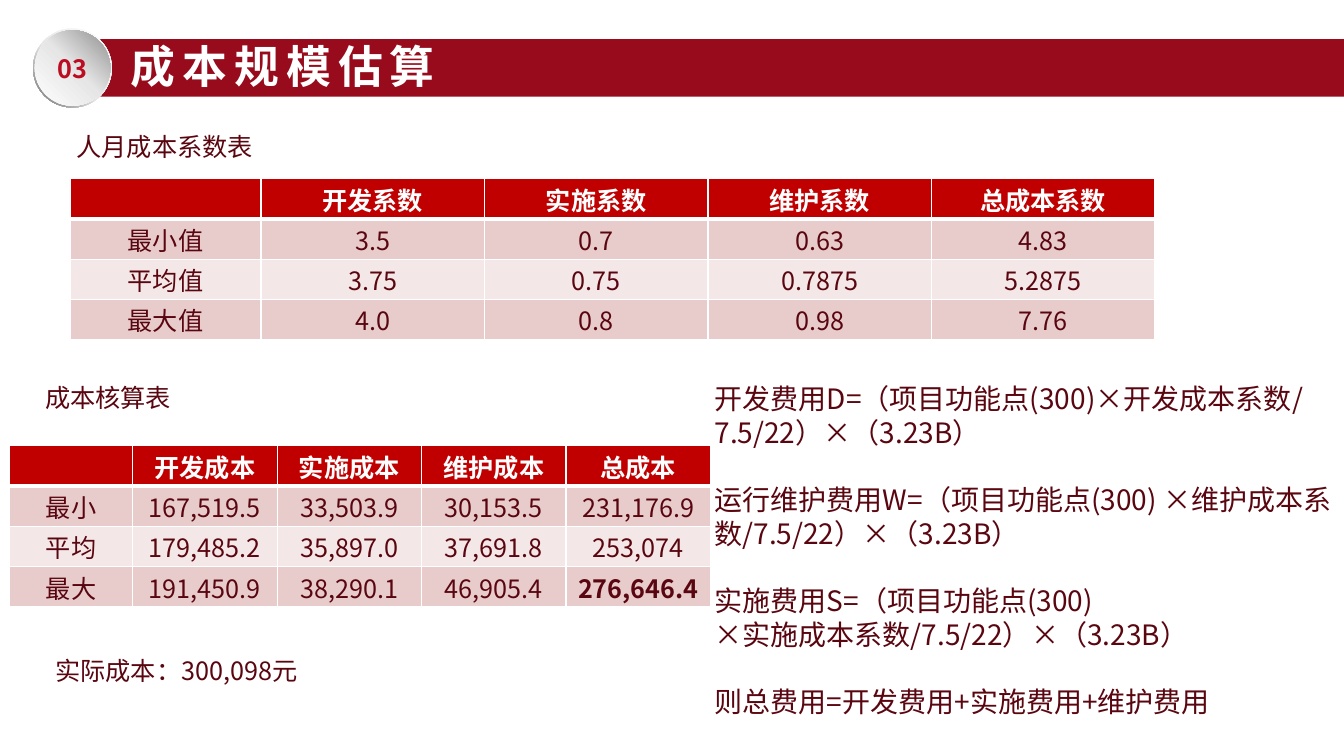
from copy import deepcopy

from lxml.etree import SubElement
from pptx import Presentation
from pptx.dml.color import RGBColor
from pptx.enum.shapes import MSO_SHAPE
from pptx.enum.text import MSO_ANCHOR, PP_ALIGN
from pptx.oxml.ns import qn
from pptx.util import Pt

# Content
TITLE = "成本规模估算"
SECTION_NUMBER = "03"
# text, left, top, width
LABELS = [
    ("人月成本系数表", 47.5, 90, 320),
    ("成本核算表", 25.2, 269.3, 177),
    ("实际成本：300,098元", 32.4, 464.4, 320),
]
FORMULAS = [
    "开发费用D=（项目功能点(300)×开发成本系数/7.5/22）×（3.23B）",
    "运行维护费用W=（项目功能点(300) ×维护成本系数/7.5/22）×（3.23B）",
    "实施费用S=（项目功能点(300) ×实施成本系数/7.5/22）×（3.23B）",
    "则总费用=开发费用+实施费用+维护费用",
]
COEFFICIENTS = [
    ("", "开发系数", "实施系数", "维护系数", "总成本系数"),
    ("最小值", "3.5", "0.7", "0.63", "4.83"),
    ("平均值", "3.75", "0.75", "0.7875", "5.2875"),
    ("最大值", "4.0", "0.8", "0.98", "7.76"),
]
COSTS = [
    ("", "开发成本", "实施成本", "维护成本", "总成本"),
    ("最小", "167,519.5", "33,503.9", "30,153.5", "231,176.9"),
    ("平均", "179,485.2", "35,897.0", "37,691.8", "253,074"),
    ("最大", "191,450.9", "38,290.1", "46,905.4", "276,646.4"),
]
HIGHLIGHT = "276,646.4"

# Style
FONT = "Noto Sans CJK SC"
WHITE = RGBColor(0xFF, 0xFF, 0xFF)
SILVER = RGBColor(0xE6, 0xE6, 0xE6)
DARK_GREY = RGBColor(0x6C, 0x6C, 0x6C)
MID_GREY = RGBColor(0x8F, 0x8F, 0x8F)
BANNER_RED = RGBColor(0x97, 0x0B, 0x1C)
NUMBER_RED = RGBColor(0xBB, 0x0C, 0x21)
TEXT_RED = RGBColor(0x5A, 0x06, 0x10)
HEADER_RED = RGBColor(0xC0, 0x00, 0x00)
BAND_DARK = RGBColor(0xE8, 0xCC, 0xCC)
BAND_LIGHT = RGBColor(0xF4, 0xE7, 0xE7)
ROW_HEIGHT = 28.8
LINE_FACTOR = 1.2

deck = Presentation()
deck.slide_width, deck.slide_height = Pt(960), Pt(540)
page = deck.slides.add_slide(deck.slide_layouts[6])


def write(para, text, size, color, bold=False):
    para.line_spacing = Pt(size * LINE_FACTOR)
    span = para.add_run()
    span.text = text
    font = span.font
    font.size, font.bold, font.name = Pt(size), bold, FONT
    font.color.rgb = color
    SubElement(span._r.get_or_add_rPr(), qn("a:ea")).set("typeface", FONT)
    return span


def add_text_box(left, top, width, height):
    box = page.shapes.add_textbox(Pt(left), Pt(top), Pt(width), Pt(height))
    box.text_frame.word_wrap = True
    return box.text_frame


def add_plain_shape(kind, left, top, width, height):
    shape = page.shapes.add_shape(kind, Pt(left), Pt(top), Pt(width), Pt(height))
    shape.shadow.inherit = False
    shape.line.fill.background()
    return shape


def shade(shape, stops, clockwise_angle):
    shape.fill.gradient()
    shape.fill.gradient_angle = 360 - clockwise_angle
    stop_list = shape._element.spPr.find(".//" + qn("a:gsLst"))
    stop_list.append(deepcopy(stop_list[-1]))
    for stop, (position, color) in zip(shape.fill.gradient_stops, stops):
        stop.position = position
        stop.color.rgb = color


def set_borders(cell, bottom_width):
    properties = cell._tc.get_or_add_tcPr()
    widths = {"lnL": 1, "lnR": 1, "lnT": 1, "lnB": bottom_width}
    for index, (side, width) in enumerate(widths.items()):
        line = properties.makeelement(qn("a:" + side), {"w": str(Pt(width))})
        fill = SubElement(line, qn("a:solidFill"))
        SubElement(fill, qn("a:srgbClr")).set("val", str(WHITE))
        properties.insert(index, line)


def add_grid(rows, left, top, first_width, other_width):
    widths = [first_width] + [other_width] * (len(rows[0]) - 1)
    table = page.shapes.add_table(
        len(rows), len(widths), Pt(left), Pt(top),
        Pt(sum(widths)), Pt(ROW_HEIGHT * len(rows))).table
    for column, width in zip(table.columns, widths):
        column.width = Pt(width)
    for row_index, values in enumerate(rows):
        header = row_index == 0
        band = BAND_DARK if row_index % 2 else BAND_LIGHT
        for column_index, value in enumerate(values):
            cell = table.cell(row_index, column_index)
            cell.margin_left = cell.margin_right = Pt(4)
            cell.margin_top, cell.margin_bottom = Pt(6), Pt(1.2)
            cell.fill.solid()
            cell.fill.fore_color.rgb = HEADER_RED if header else band
            set_borders(cell, 3 if header else 1)
            para = cell.text_frame.paragraphs[0]
            para.alignment = PP_ALIGN.CENTER
            if value:
                write(para, value, 18, WHITE if header else TEXT_RED,
                      header or value == HIGHLIGHT)
            else:
                para.font.size = Pt(18)
                para.line_spacing = Pt(18 * LINE_FACTOR)


# Title banner
banner = add_plain_shape(MSO_SHAPE.RECTANGLE, 57, 28, 903, 41)
banner.fill.solid()
banner.fill.fore_color.rgb = BANNER_RED
title = add_text_box(86.4, 23.8, 341, 46)
title_span = write(title.paragraphs[0], TITLE, 32, WHITE, True)
title_span._r.get_or_add_rPr().set("spc", "500")

# Section badge
ring = add_plain_shape(MSO_SHAPE.DONUT, 23.6, 20.4, 56.4, 56.4)
ring.adjustments[0] = 0.05
shade(ring, [(0, WHITE), (0.55, SILVER), (1, DARK_GREY)], 135)
badge = add_plain_shape(MSO_SHAPE.OVAL, 24.8, 21.6, 54, 54)
shade(badge, [(0, WHITE), (0.51, SILVER), (1, MID_GREY)], 315)
frame = badge.text_frame
frame.margin_left = frame.margin_right = 0
frame.vertical_anchor = MSO_ANCHOR.MIDDLE
frame.paragraphs[0].alignment = PP_ALIGN.CENTER
write(frame.paragraphs[0], SECTION_NUMBER, 18, NUMBER_RED, True)

# Formulas
formulas = add_text_box(503.3, 269.3, 456.7, 260)
for index, formula in enumerate(FORMULAS):
    para = formulas.add_paragraph() if index else formulas.paragraphs[0]
    if index:
        para.space_before = Pt(20 * LINE_FACTOR)
    write(para, formula, 20, TEXT_RED)

# Tables and their labels
add_grid(COEFFICIENTS, 50, 127.6, 136.5, 159.6)
add_grid(COSTS, 6.8, 318.4, 88, 103.2)
for text, left, top, width in LABELS:
    write(add_text_box(left, top, width, ROW_HEIGHT).paragraphs[0], text, 18, TEXT_RED)

deck.save("out.pptx")
